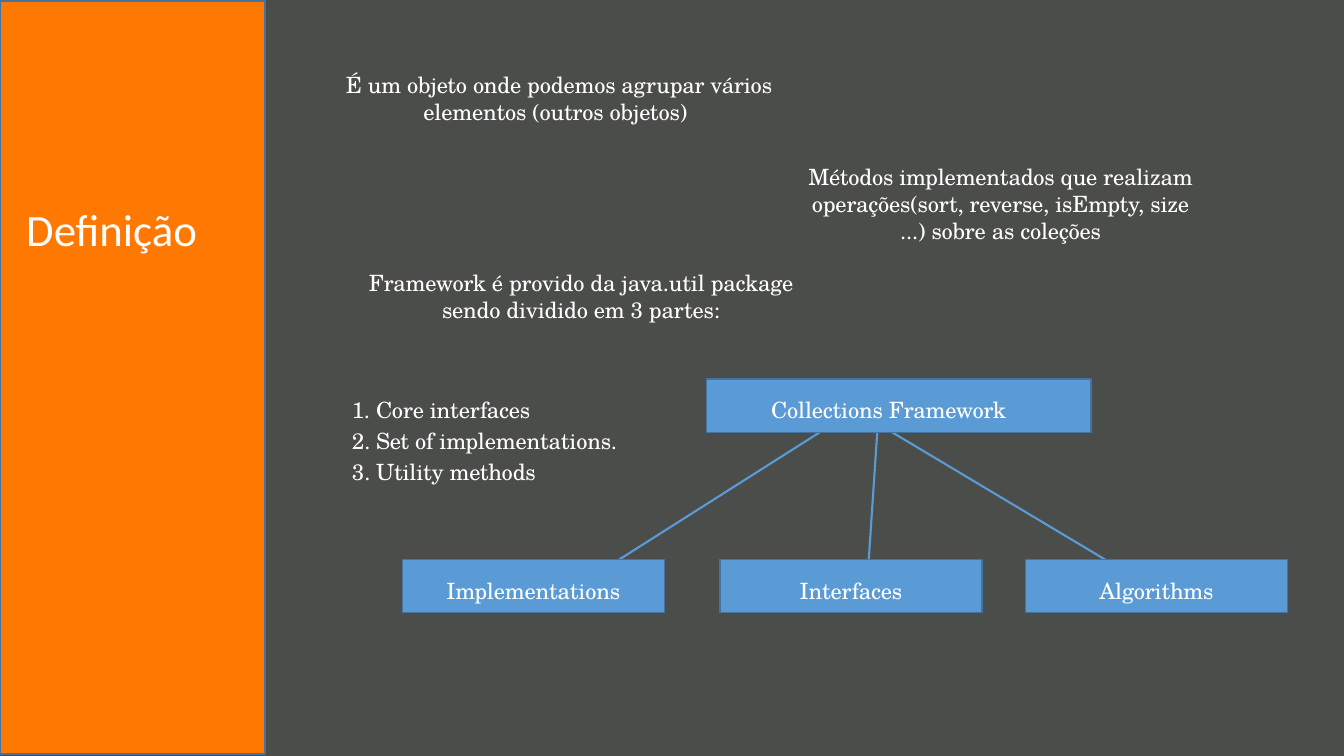
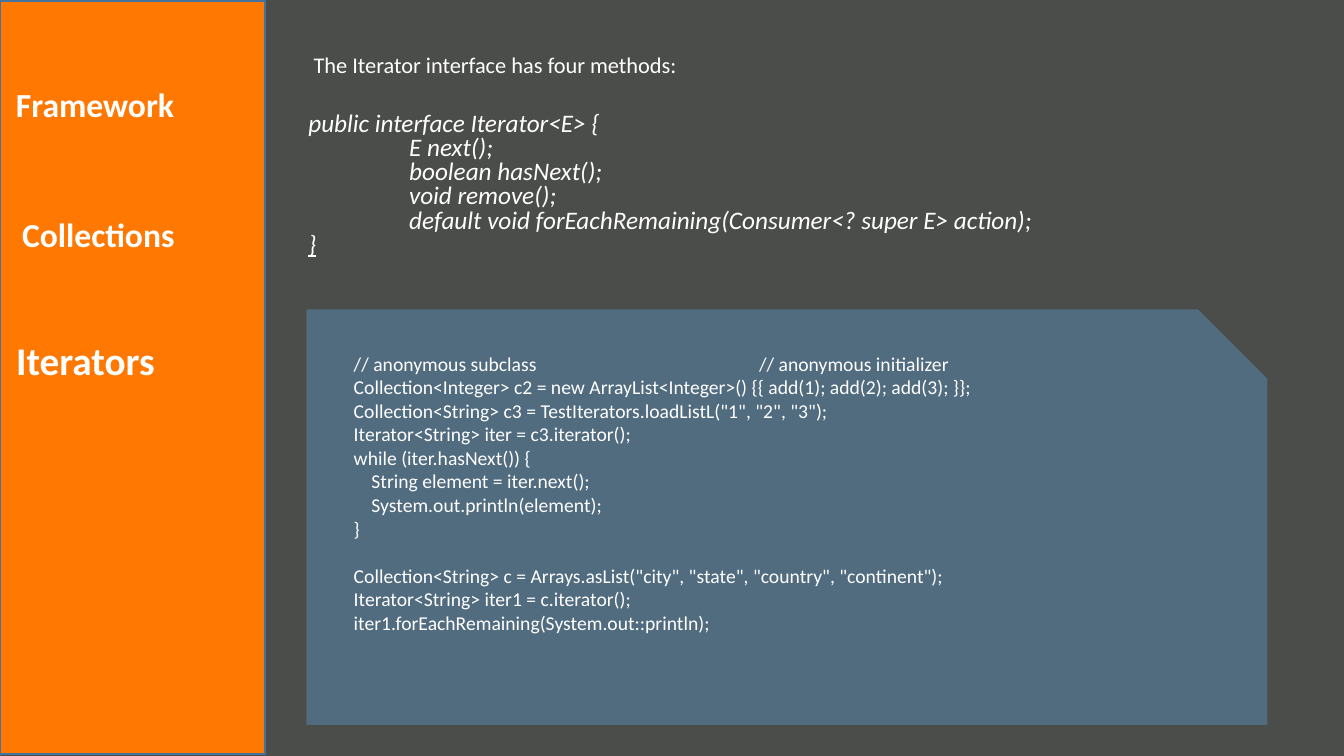
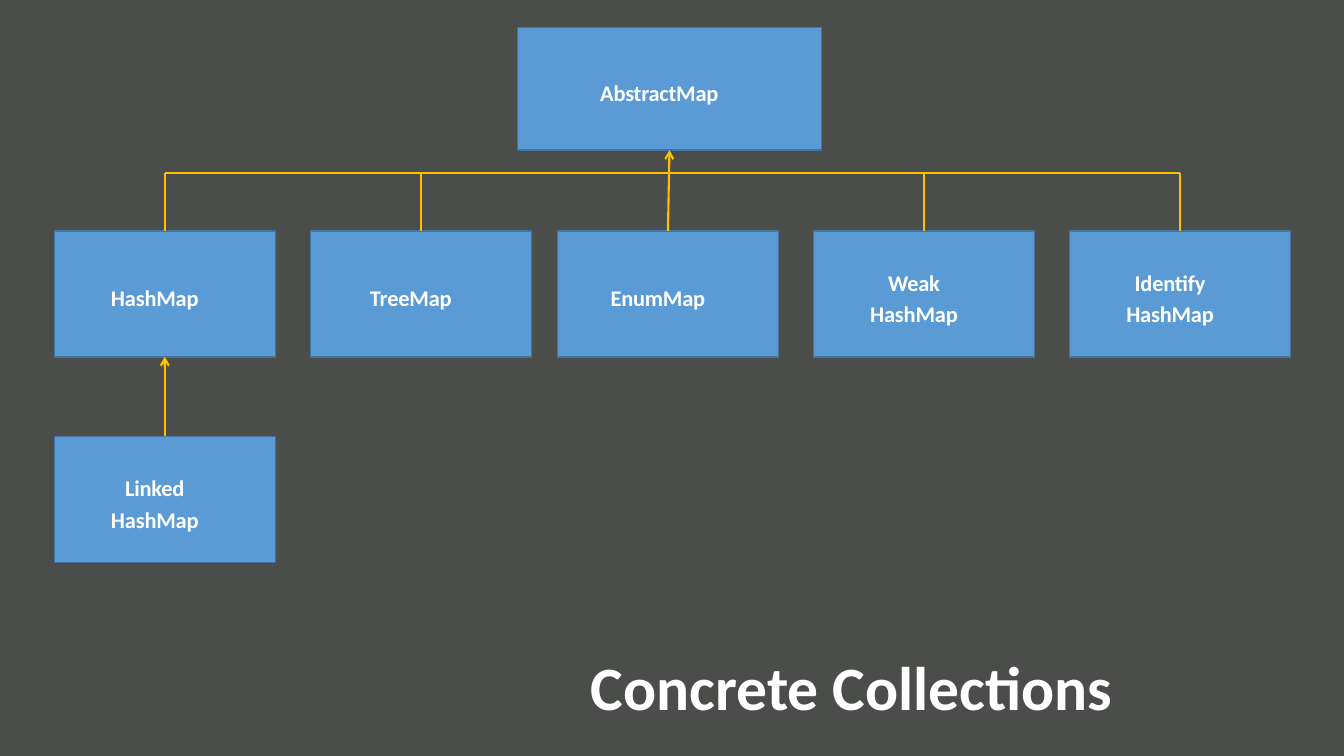
import lxml.etree
import pptx
import pptx.dml.color
import pptx.enum.shapes
import pptx.enum.text
import pptx.oxml.ns
import pptx.util

Inches = pptx.util.Inches
Pt = pptx.util.Pt
Align = pptx.enum.text.PP_ALIGN
Anchor = pptx.enum.text.MSO_ANCHOR
Shape = pptx.enum.shapes.MSO_SHAPE

GREY, ORANGE, WHITE = "4B4D4A", "FF7802", "FFFFFF"
BLUE, DARK_BLUE, YELLOW = "5B9BD5", "43739E", "FFC000"
SANS, SERIF = "Calibri", "TeX Gyre Schola"
DEFAULT_INSETS = (0.1, 0.05, 0.1, 0.05)
CENTRED_INSETS = (0.25, 0.08, 0.25, 0)

# Definition slide
CENTRED_NOTES = [
    ((7.31, 1.54, 5.23, 0.85),
     ["Métodos implementados que realizam operações(sort, reverse, isEmpty, size",
      "...) sobre as coleções"]),
    ((3.15, 2.59, 5.23, 0.58),
     ["Framework é provido da java.util package sendo dividido em 3 partes:"]),
]
OBJECT_NOTE = "É um objeto onde podemos agrupar vários elementos (outros objetos)"
FRAMEWORK_PARTS = ["Core interfaces", "Set of implementations.", "Utility methods"]
FRAMEWORK_CHILDREN = [(3.99, "Implementations"), (7.14, "Interfaces"), (10.17, "Algorithms")]
FRAMEWORK_LINES = [
    ((8.57, 4.01), (5.64, 5.87)),
    ((8.71, 4.15), (8.6, 5.8)),
    ((8.85, 4.29), (11.36, 5.79)),
]

# Iterators slide
BREADCRUMBS = [((0.06, 0.78, 2.51, 0.91), "Framework"), ((0.12, 2.07, 2.51, 0.91), "Collections")]
INTERFACE_CODE = [
    "public interface Iterator<E> {",
    "E next();",
    "boolean hasNext();",
    "void remove();",
    "default void forEachRemaining(Consumer<? super E> action);",
    "}",
]
USAGE_CODE = [
    "// anonymous subclass\t// anonymous initializer",
    "Collection<Integer> c2 = new ArrayList<Integer>() {{ add(1); add(2); add(3); }};",
    'Collection<String> c3 = TestIterators.loadListL("1", "2", "3");',
    "Iterator<String> iter = c3.iterator();",
    "while (iter.hasNext()) {",
    "    String element = iter.next();",
    "    System.out.println(element);",
    "}",
    'Collection<String> c = Arrays.asList("city", "state", "country", "continent");',
    "Iterator<String> iter1 = c.iterator();",
    "iter1.forEachRemaining(System.out::println);",
]
SECOND_EXAMPLE = 8

# Concrete collections slide
MAP_WIDTH, MAP_HEIGHT, MAP_TOP, BUS_TOP = 2.19, 1.25, 2.29, 1.72
MAPS = [
    (0.54, ["HashMap"]),
    (3.08, ["TreeMap"]),
    (5.53, ["EnumMap"]),
    (8.07, ["Weak", "HashMap"]),
    (10.61, ["Identify", "HashMap"]),
]


def color(value):
    return pptx.dml.color.RGBColor.from_string(value)


def add_xml(parent, tag, **attributes):
    element = lxml.etree.SubElement(parent, pptx.oxml.ns.qn(tag))
    for name, value in attributes.items():
        element.set(name, str(value))
    return element


def indent(paragraph, left, first=0):
    properties = paragraph._p.get_or_add_pPr()
    properties.set("marL", str(Inches(left)))
    properties.set("indent", str(Inches(first)))
    return properties


def write(shape, lines, size, font=SANS, bold=False, italic=False, align=Align.LEFT,
          insets=DEFAULT_INSETS, anchor=Anchor.TOP, gap=0, spacing=1.0, tracking=0):
    """Fill a shape with one paragraph per line and return the paragraphs."""
    frame = shape.text_frame
    frame.word_wrap = True
    frame.auto_size = pptx.enum.text.MSO_AUTO_SIZE.NONE
    frame.vertical_anchor = anchor
    (frame.margin_left, frame.margin_top,
     frame.margin_right, frame.margin_bottom) = map(Inches, insets)
    for number, line in enumerate(lines):
        paragraph = frame.add_paragraph() if number else frame.paragraphs[0]
        run = paragraph.add_run()
        run.text = line
        if tracking:
            run._r.get_or_add_rPr().set("spc", str(tracking))
        paragraph.alignment = align
        paragraph.line_spacing = spacing
        paragraph.space_before = Pt(gap if number else 0)
        paragraph.font.name = font
        paragraph.font.size = Pt(size)
        paragraph.font.bold = bold
        paragraph.font.italic = italic
        paragraph.font.color.rgb = color(WHITE)
    return frame.paragraphs


def add_text(slide, box, lines, size, **style):
    return write(slide.shapes.add_textbox(*map(Inches, box)), lines, size, **style)


def add_block(slide, box, fill, outline=DARK_BLUE, kind=Shape.RECTANGLE):
    block = slide.shapes.add_shape(kind, *map(Inches, box))
    block.shadow.inherit = False
    block.fill.solid()
    block.fill.fore_color.rgb = color(fill)
    if outline:
        block.line.color.rgb = color(outline)
        block.line.width = Pt(1)
    else:
        block.line.fill.background()
    return block


def add_node(slide, box, lines, font=SANS, bold=False, right_inset=0.2):
    node = add_block(slide, box, BLUE)
    write(node, lines, 16, font=font, bold=bold, align=Align.CENTER, anchor=Anchor.MIDDLE,
          insets=(0, 0.08, right_inset, 0), gap=3.1, tracking=-10)
    return node


def add_line(slide, start, end, stroke, arrow=False):
    line = slide.shapes.add_connector(pptx.enum.shapes.MSO_CONNECTOR.STRAIGHT,
                                      *map(Inches, (*start, *end)))
    line.line.color.rgb = color(stroke)
    line.line.width = Pt(1.5)
    if arrow:
        add_xml(line.line._get_or_add_ln(), "a:tailEnd", type="arrow")
    add_xml(line._element.spPr, "a:effectLst")
    return line


def add_slide(presentation, title, box, size, band=True, **style):
    slide = presentation.slides.add_slide(presentation.slide_layouts[5])
    heading = slide.shapes.title
    heading.left, heading.top, heading.width, heading.height = map(Inches, box)
    write(heading, [title], size, **style)
    if band:
        side_band = add_block(slide, (0, 0.01, 2.63, 7.47), ORANGE)
        slide.shapes._spTree.insert(2, side_band._element)
    return slide


def build_definition(presentation):
    slide = add_slide(presentation, "Definição", (0.16, 1.95, 2.38, 0.64), 32)
    serif = dict(font=SERIF, tracking=-10)
    note = add_text(slide, (3.42, 0.69, 5.19, 0.55), [OBJECT_NOTE], 16,
                    insets=(0, 0.02, 0, 0), **serif)
    indent(note[0], 0.78, -0.77)
    for box, lines in CENTRED_NOTES:
        add_text(slide, box, lines, 16, align=Align.CENTER, insets=CENTRED_INSETS, **serif)

    parts = slide.shapes.add_textbox(*map(Inches, (3.28, 3.85, 5.23, 0.94)))
    for paragraph in write(parts, FRAMEWORK_PARTS, 16, insets=(0.21, 0.08, 0, 0),
                           gap=3.1, **serif):
        properties = indent(paragraph, 0.24, -0.24)
        numbering = add_xml(properties, "a:buAutoNum", type="arabicPeriod")
        properties.find(pptx.oxml.ns.qn("a:defRPr")).addprevious(numbering)

    for start, end in FRAMEWORK_LINES:
        add_line(slide, start, end, BLUE, arrow=True)
    add_node(slide, (7.01, 3.76, 3.81, 0.53), ["Collections Framework"], font=SERIF)
    for left, label in FRAMEWORK_CHILDREN:
        add_node(slide, (left, 5.55, 2.6, 0.53), [label], font=SERIF, right_inset=0)


def build_iterators(presentation):
    slide = add_slide(presentation, "Iterators", (0.06, 3.29, 2.51, 1.51), 28, bold=True)
    for box, label in BREADCRUMBS:
        add_text(slide, box, [label], 24, bold=True)
    add_text(slide, (3.11, 0.55, 5.19, 0.23), ["The Iterator interface has four methods:"], 16,
             insets=(0, 0.01, 0, 0), spacing=0.8)

    interface = add_text(slide, (2.96, 1.07, 9.42, 1.55), INTERFACE_CODE, 18,
                         italic=True, spacing=0.8)
    for method in interface[1:-1]:
        indent(method, 1)
    interface[-1].runs[0].font.underline = True

    panel = add_block(slide, (3.04, 3.07, 9.53, 4.12), BLUE, outline=None,
                      kind=Shape.SNIP_1_RECTANGLE)
    fill_color = panel._element.spPr.find(".//" + pptx.oxml.ns.qn("a:srgbClr"))
    add_xml(fill_color, "a:alpha", val=39000)

    usage = add_text(slide, (3.41, 3.44, 8.51, 2.93), USAGE_CODE, 14)
    usage[SECOND_EXAMPLE].space_before = Pt(17)
    properties = usage[0]._p.get_or_add_pPr()
    tabs = add_xml(properties, "a:tabLst")
    add_xml(tabs, "a:tab", pos=Inches(4.02), algn="l")
    properties.find(pptx.oxml.ns.qn("a:defRPr")).addprevious(tabs)


def build_concrete_collections(presentation):
    slide = add_slide(presentation, "Concrete Collections", (5.76, 6.53, 7.5, 0.69), 44,
                      band=False, bold=True, spacing=0.8)
    abstract_map = add_node(slide, (5.13, 0.27, 3.02, 1.22), ["AbstractMap"], bold=True)
    maps = [add_node(slide, (left, MAP_TOP, MAP_WIDTH, MAP_HEIGHT), lines, bold=True)
            for left, lines in MAPS]
    linked_map = add_node(slide, (MAPS[0][0], 4.33, MAP_WIDTH, MAP_HEIGHT),
                          ["Linked", "HashMap"], bold=True)

    centres = [left + MAP_WIDTH / 2 for left, _ in MAPS]
    add_line(slide, (centres[0], BUS_TOP), (centres[-1], BUS_TOP), YELLOW)
    middle = len(MAPS) // 2
    for number, (centre, node) in enumerate(zip(centres, maps)):
        is_middle = number == middle
        branch = add_line(slide, (centre, MAP_TOP), (centre, BUS_TOP), YELLOW, arrow=is_middle)
        branch.begin_connect(node, 0)
        if is_middle:
            branch.end_connect(abstract_map, 2)
    inheritance = add_line(slide, (centres[0], 4.33), (centres[0], MAP_TOP + MAP_HEIGHT),
                           YELLOW, arrow=True)
    inheritance.begin_connect(linked_map, 0)
    inheritance.end_connect(maps[0], 2)


def main():
    presentation = pptx.Presentation()
    presentation.slide_width = Inches(13.33)
    presentation.slide_height = Inches(7.5)
    background = presentation.slide_master.background.fill
    background.solid()
    background.fore_color.rgb = color(GREY)
    build_definition(presentation)
    build_iterators(presentation)
    build_concrete_collections(presentation)
    presentation.save("out.pptx")


if __name__ == "__main__":
    main()
